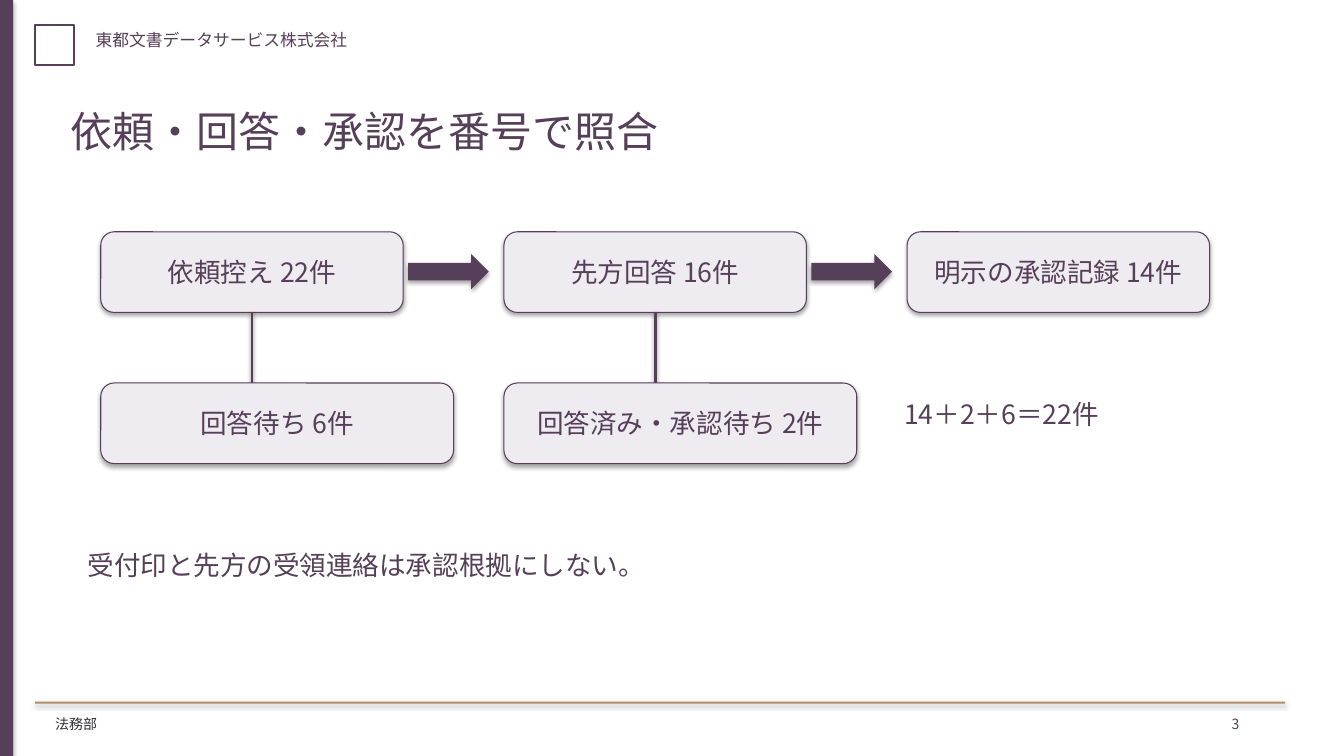
from lxml import etree
from pptx import Presentation
from pptx.dml.color import RGBColor
from pptx.enum import shapes, text
from pptx.oxml.ns import qn
from pptx.util import Pt

PLUM = RGBColor(0x56, 0x3F, 0x58)
LILAC = RGBColor(0xEE, 0xEB, 0xF1)
TAN = RGBColor(0xB2, 0x8B, 0x65)
CHARCOAL = RGBColor(0x30, 0x2F, 0x33)
FONT = "Noto Sans CJK JP"

COLUMN_LEFT, COLUMN_STEP = 72, 288
STAGE_TOP, WAITING_TOP = 165.6, 273.6
STAGE_WIDTH, WAITING_WIDTH, BOX_HEIGHT = 216, 252, 57.6
STAGES = ["依頼控え 22件", "先方回答 16件", "明示の承認記録 14件"]
WAITING = ["回答待ち 6件", "回答済み・承認待ち 2件"]


def write(shape, content, size=19, color=PLUM, align=text.PP_ALIGN.LEFT,
          anchor=text.MSO_ANCHOR.TOP, inset=(7.2, 3.6)):
    frame = shape.text_frame
    frame.word_wrap = True
    frame.auto_size = text.MSO_AUTO_SIZE.NONE
    frame.vertical_anchor = anchor
    frame.margin_left = frame.margin_right = Pt(inset[0])
    frame.margin_top = frame.margin_bottom = Pt(inset[1])
    para = frame.paragraphs[0]
    para.alignment = align
    span = para.add_run()
    span.text = content
    span.font.size = Pt(size)
    span.font.color.rgb = color
    span.font.name = FONT
    etree.SubElement(span._r.get_or_add_rPr(), qn("a:ea"), typeface=FONT)


def add_label(page, content, left, top, width, height, **style):
    box = page.shapes.add_textbox(Pt(left), Pt(top), Pt(width), Pt(height))
    write(box, content, **style)


def add_solid(page, kind, left, top, width, height, color):
    shape = page.shapes.add_shape(kind, Pt(left), Pt(top), Pt(width), Pt(height))
    shape.fill.solid()
    shape.fill.fore_color.rgb = color
    shape.line.fill.background()
    return shape


def add_box(page, content, left, top, width):
    box = add_solid(page, shapes.MSO_SHAPE.ROUNDED_RECTANGLE,
                    left, top, width, BOX_HEIGHT, LILAC)
    box.line.color.rgb = PLUM
    box.line.width = Pt(0.75)
    write(box, content, align=text.PP_ALIGN.CENTER, anchor=text.MSO_ANCHOR.MIDDLE)
    return box


def add_branch(page, stage, left):
    center = Pt(left + STAGE_WIDTH / 2)
    branch = page.shapes.add_connector(
        shapes.MSO_CONNECTOR.STRAIGHT,
        center, Pt(STAGE_TOP + BOX_HEIGHT), center, Pt(WAITING_TOP))
    branch.begin_connect(stage, 2)
    branch.line.color.rgb = PLUM
    branch.line.width = Pt(2)


def add_frame(page):
    rectangle = shapes.MSO_SHAPE.RECTANGLE
    emblem = add_solid(page, rectangle, 25.2, 18, 28, 28.8, PLUM)
    emblem.fill.background()
    emblem.line.color.rgb = PLUM
    emblem.line.width = Pt(1.5)
    emblem.shadow.inherit = False
    add_solid(page, rectangle, 0, 0, 9.36, 540, PLUM)
    add_solid(page, rectangle, 25.2, 501.12, 892.8, 1.44, TAN)
    add_label(page, "東都文書データサービス株式会社", 61.2, 18, 720, 28.8, size=12)
    add_label(page, "法務部", 32.4, 507.6, 720, 21.6, size=10, color=CHARCOAL)
    add_label(page, "3", 874.8, 507.6, 32.4, 18, size=10, inset=(5, 3.6))


def add_title(page, content):
    title = page.shapes.title
    title.left, title.top, title.width, title.height = Pt(43.2), Pt(72), Pt(864), Pt(72)
    write(title, content, size=30)


def add_flow(page):
    lefts = [COLUMN_LEFT + COLUMN_STEP * index for index in range(len(STAGES))]
    stages = [add_box(page, label, left, STAGE_TOP, STAGE_WIDTH)
              for label, left in zip(STAGES, lefts)]
    for label, left, stage in zip(WAITING, lefts, stages):
        add_solid(page, shapes.MSO_SHAPE.RIGHT_ARROW,
                  left + STAGE_WIDTH + 3.6, 181.44, 57.6, 25.2, PLUM)
        add_branch(page, stage, left)
        add_box(page, label, left, WAITING_TOP, WAITING_WIDTH)


def main():
    deck = Presentation()
    deck.slide_width, deck.slide_height = Pt(960), Pt(540)
    page = deck.slides.add_slide(deck.slide_layouts.get_by_name("Title Only"))
    add_frame(page)
    add_title(page, "依頼・回答・承認を番号で照合")
    add_flow(page)
    add_label(page, "14＋2＋6＝22件", 640.8, 280.8, 216, 43.2, inset=(5, 3.6))
    add_label(page, "受付印と先方の受領連絡は承認根拠にしない。",
              57.6, 388.8, 828, 43.2, inset=(5, 3.6))
    deck.save("out.pptx")


if __name__ == "__main__":
    main()
